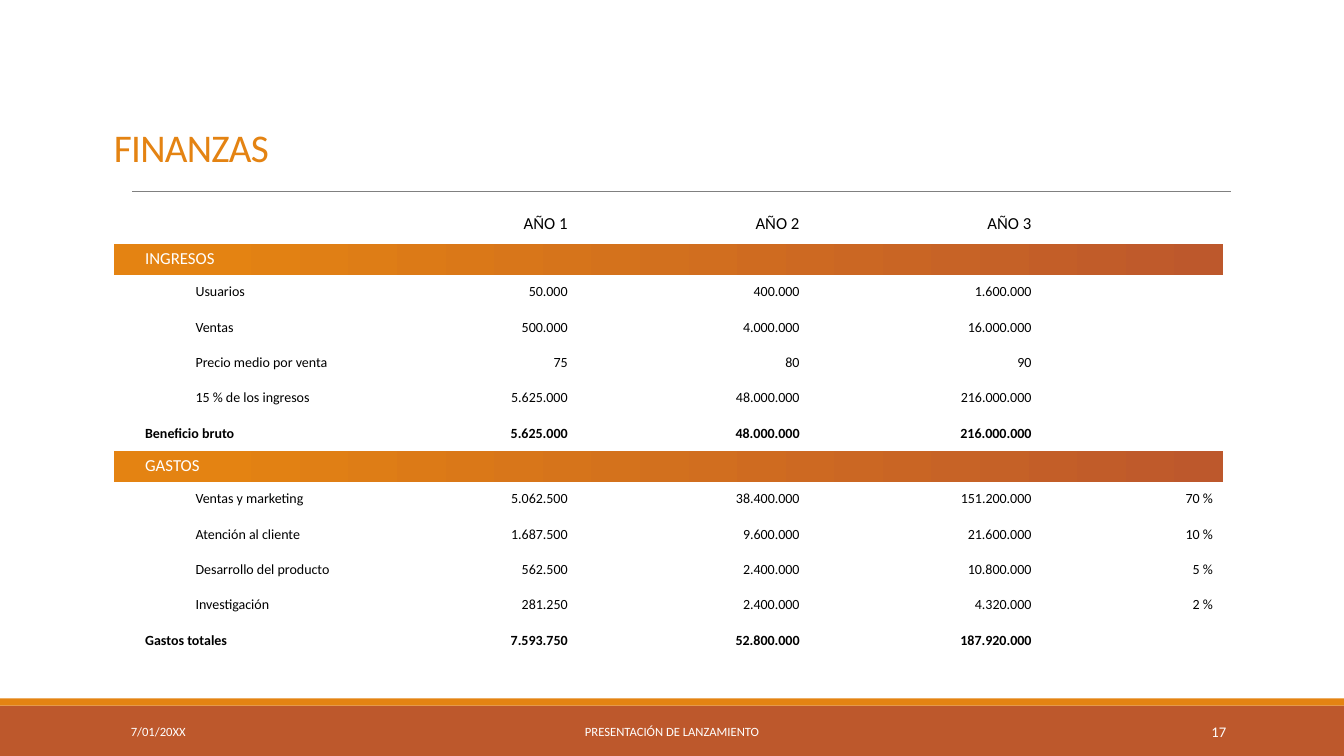
from dataclasses import dataclass

from pptx import Presentation
from pptx.dml.color import RGBColor
from pptx.enum.shapes import MSO_CONNECTOR, MSO_SHAPE
from pptx.enum.text import MSO_ANCHOR, MSO_AUTO_SIZE, PP_ALIGN
from pptx.oxml.ns import qn
from pptx.util import Inches, Pt
from lxml.etree import SubElement


@dataclass(frozen=True)
class Theme:
    face: str = "Calibri"
    amber: RGBColor = RGBColor(0xE4, 0x83, 0x12)
    rust: RGBColor = RGBColor(0xBD, 0x58, 0x2C)
    gray: RGBColor = RGBColor(0x80, 0x80, 0x80)
    black: RGBColor = RGBColor(0, 0, 0)
    white: RGBColor = RGBColor(0xFF, 0xFF, 0xFF)
    title: float = 28
    head: float = 12
    body: float = 10
    foot: float = 9
    page: float = 10.5


THEME = Theme()
PLAIN = "{2D5ABB26-0587-4C30-8999-92F81FD0307C}"  # table style without lines or fills
WIDTHS = (2.99, 1.61, 2.3, 2.3, 1.8)

# Row kind, then the cells
ROWS = (
    ("head", "", "AÑO 1", "AÑO 2", "AÑO 3", ""),
    ("band", "INGRESOS"),
    ("item", "Usuarios", "50.000", "400.000", "1.600.000", ""),
    ("item", "Ventas", "500.000", "4.000.000", "16.000.000", ""),
    ("item", "Precio medio por venta", "75", "80", "90", ""),
    ("item", "15 % de los ingresos", "5.625.000", "48.000.000", "216.000.000", ""),
    ("total", "Beneficio bruto", "5.625.000", "48.000.000", "216.000.000", ""),
    ("band", "GASTOS"),
    ("item", "Ventas y marketing", "5.062.500", "38.400.000", "151.200.000", "70 %"),
    ("item", "Atención al cliente", "1.687.500", "9.600.000", "21.600.000", "10 %"),
    ("item", "Desarrollo del producto", "562.500", "2.400.000", "10.800.000", "5 %"),
    ("item", "Investigación", "281.250", "2.400.000", "4.320.000", "2 %"),
    ("total", "Gastos totales", "7.593.750", "52.800.000", "187.920.000", ""),
)
HEIGHTS = {"head": 0.4, "band": 0.3, "item": 0.35, "total": 0.35}


def style(para, size, color, align=PP_ALIGN.LEFT, bold=False):
    para.alignment = align
    font = para.font
    font.name, font.size, font.bold = THEME.face, Pt(size), bold
    font.color.rgb = color


def add_bar(slide, top, height, color):
    bar = slide.shapes.add_shape(
        MSO_SHAPE.RECTANGLE, 0, Inches(top), Inches(13.33), Inches(height))
    bar.shadow.inherit = False
    bar.fill.solid()
    bar.fill.fore_color.rgb = color
    bar.line.fill.background()


def add_rule(slide):
    rule = slide.shapes.add_connector(
        MSO_CONNECTOR.STRAIGHT, Inches(1.31), Inches(1.9), Inches(12.21), Inches(1.9))
    rule.line.color.rgb = THEME.gray
    rule.line.width = Pt(0.5)
    SubElement(rule._element.spPr, qn("a:effectLst"))


def add_label(slide, left, width, text, size, align):
    box = slide.shapes.add_textbox(
        Inches(left), Inches(7.06), Inches(width), Inches(0.4))
    frame = box.text_frame
    frame.word_wrap = True
    frame.vertical_anchor = MSO_ANCHOR.MIDDLE
    frame.text = text
    style(frame.paragraphs[0], size, THEME.white, align)


def set_title(slide, text):
    title = slide.shapes.title
    title.left, title.top = Inches(1.13), Inches(0.73)
    title.width, title.height = Inches(11.08), Inches(1.01)
    frame = title.text_frame
    frame.text = text
    frame.auto_size = MSO_AUTO_SIZE.NONE
    frame.vertical_anchor = MSO_ANCHOR.BOTTOM
    frame.margin_left = 0
    para = frame.paragraphs[0]
    para.line_spacing = 0.85
    style(para, THEME.title, THEME.amber)
    para.font._element.set("spc", "-50")


def fill_band(cell):
    cell.fill.gradient()
    cell.fill.gradient_angle = 0
    stops = ((0.08, THEME.amber), (1, THEME.rust))
    for stop, (place, color) in zip(cell.fill.gradient_stops, stops):
        stop.position = place
        stop.color.rgb = color


def fill_cell(cell, kind, col, text):
    cell.vertical_anchor = MSO_ANCHOR.MIDDLE
    cell.fill.background()
    size = THEME.head if kind in ("head", "band") else THEME.body
    cell.text = text
    para = cell.text_frame.paragraphs[0]
    if not text:
        # Keeps an empty cell from stretching its row
        para._p.get_or_add_endParaRPr().set("sz", str(size * 100))
        return
    if col == 0:
        cell.margin_left = Inches(0.31)
    if col == 0 and kind == "item":
        para.level = 1
        props = para._p.get_or_add_pPr()
        props.set("marL", str(Inches(0.5)))
        props.set("indent", "0")
    color = THEME.white if kind == "band" else THEME.black
    align = PP_ALIGN.RIGHT if col else PP_ALIGN.LEFT
    style(para, size, color, align, kind == "total")


def add_grid(slide):
    frame = slide.shapes.add_table(
        len(ROWS), len(WIDTHS), Inches(1.13), Inches(2.02), Inches(11), Inches(4.5))
    table = frame.table
    table.first_row = table.horz_banding = False
    table._tbl.tblPr.find(qn("a:tableStyleId")).text = PLAIN
    for col, width in zip(table.columns, WIDTHS):
        col.width = Inches(width)
    for row, (kind, *texts) in enumerate(ROWS):
        table.rows[row].height = Inches(HEIGHTS[kind])
        texts += [""] * (len(WIDTHS) - len(texts))
        for col, text in enumerate(texts):
            fill_cell(table.cell(row, col), kind, col, text)
        if kind == "band":
            first = table.cell(row, 0)
            first.merge(table.cell(row, len(WIDTHS) - 1))
            fill_band(first)


def main():
    deck = Presentation()
    deck.slide_width, deck.slide_height = Inches(13.33), Inches(7.5)
    slide = deck.slides.add_slide(deck.slide_layouts[5])

    # Frame of the page
    add_bar(slide, 7, 0.5, THEME.rust)
    add_bar(slide, 6.93, 0.07, THEME.amber)
    add_rule(slide)

    # Content
    set_title(slide, "FINANZAS")
    add_grid(slide)

    # Footer
    add_label(slide, 1.2, 2.7, "7/01/20XX", THEME.foot, PP_ALIGN.LEFT)
    add_label(slide, 4.03, 5.27, "PRESENTACIÓN DE LANZAMIENTO",
              THEME.foot, PP_ALIGN.CENTER)
    add_label(slide, 10.83, 1.43, "17", THEME.page, PP_ALIGN.RIGHT)

    deck.save("out.pptx")


if __name__ == "__main__":
    main()
